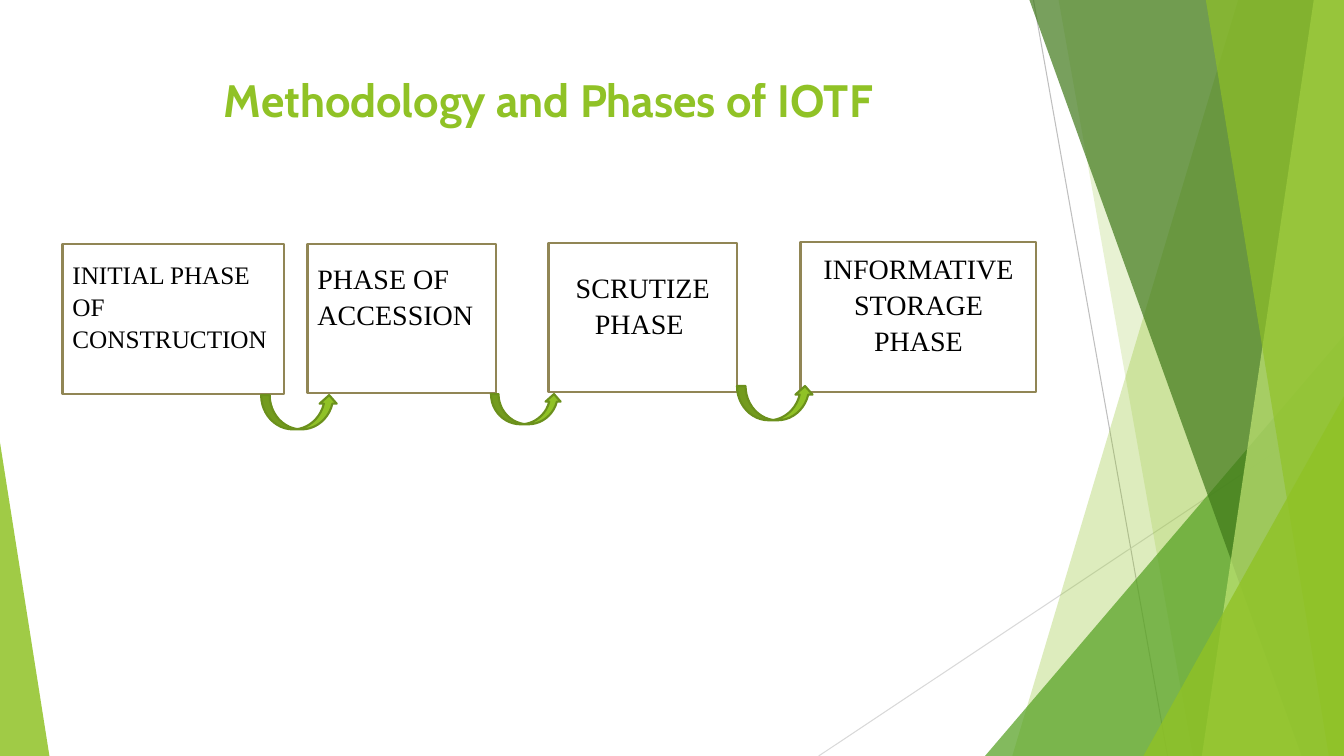
from lxml.etree import SubElement
from pptx import Presentation
from pptx.dml.color import RGBColor
from pptx.enum.shapes import MSO_CONNECTOR, MSO_SHAPE
from pptx.enum.text import MSO_ANCHOR, MSO_AUTO_SIZE, PP_ALIGN
from pptx.oxml.ns import qn
from pptx.util import Inches, Pt

WIDTH, HEIGHT = 13.33, 7.5
LIME = RGBColor(0x90, 0xC2, 0x26)
PALE_LIME = RGBColor(0xC0, 0xE4, 0x74)
GREEN = RGBColor(0x54, 0xA0, 0x21)
DARK_GREEN = RGBColor(0x3F, 0x78, 0x19)
ARROW_EDGE = RGBColor(0x6B, 0x90, 0x1C)
BOX_EDGE = RGBColor(0x91, 0x86, 0x55)
GREY = RGBColor(0xBF, 0xBF, 0xBF)
LIGHT_GREY = RGBColor(0xD9, 0xD9, 0xD9)
WHITE = RGBColor(0xFF, 0xFF, 0xFF)
BLACK = RGBColor(0, 0, 0)

TITLE = "Methodology and Phases of IOTF"

# Start x, start y, end x, end y, colour
HAIRLINES = [
    (10.25, 0, 11.58, HEIGHT, GREY),
    (WIDTH, 4.03, 8.12, HEIGHT, LIGHT_GREY),
]
# Back to front. Band: top-left x, bottom-left x; it runs to the right edge.
# Triangle: left, top, width, apex position; it stands on the bottom edge.
DECORATION = [
    ("band", (12.28, 10.04), LIME, 30),
    ("band", (10.5, 11.83), LIME, 20),
    ("triangle", (9.77, 3.33, 3.56, 1), GREEN, 72),
    ("band", (10.21, 12.91), DARK_GREEN, 70),
    ("band", (13.03, 11.92), PALE_LIME, 70),
    ("band", (11.96, 13.18), LIME, 65),
    ("triangle", (11.34, 3.93, 1.99, 1), LIME, 80),
    ("triangle", (0, 4.39, 0.49, 0), LIME, 85),
]
# Text, box (left, top, width, height), size, alignment, bottom inset
PHASES = [
    ("INITIAL PHASE OF CONSTRUCTION", (0.62, 2.42, 2.2, 1.49), 18, PP_ALIGN.LEFT, 0.32),
    ("PHASE OF ACCESSION", (3.05, 2.42, 1.87, 1.48), 20, PP_ALIGN.LEFT, 0.51),
    ("SCRUTIZE PHASE ", (5.44, 2.41, 1.87, 1.48), 20, PP_ALIGN.CENTER, 0.32),
    ("INFORMATIVE STORAGE PHASE", (7.94, 2.4, 2.34, 1.49), 20, PP_ALIGN.CENTER, 0.32),
]
ARROWS = [
    (2.59, 3.92, 0.76, 0.34),
    (4.87, 3.91, 0.7, 0.3),
    (7.31, 3.83, 0.76, 0.34),
]


def paint(shape, fill, edge=None):
    shape.shadow.inherit = False
    shape.fill.solid()
    shape.fill.fore_color.rgb = fill
    if edge is None:
        shape.line.fill.background()
    else:
        shape.line.color.rgb = edge
        shape.line.width = Pt(1.5)


def set_opacity(shape, percent):
    color = shape.element.spPr.find(qn("a:solidFill")).find(qn("a:srgbClr"))
    SubElement(color, qn("a:alpha")).set("val", str(percent * 1000))


def add_preset(slide, preset, box):
    return slide.shapes.add_shape(preset, *map(Inches, box))


def add_hairline(slide, start_x, start_y, end_x, end_y, color):
    ends = map(Inches, (start_x, start_y, end_x, end_y))
    line = slide.shapes.add_connector(MSO_CONNECTOR.STRAIGHT, *ends)
    line.line.color.rgb = color
    line.line.width = Pt(0.75)
    SubElement(line.element.spPr, qn("a:effectLst"))


def add_band(slide, top_x, bottom_x):
    corners = [(WIDTH, 0), (WIDTH, HEIGHT), (bottom_x, HEIGHT)]
    builder = slide.shapes.build_freeform(Inches(top_x), 0)
    builder.add_line_segments([(Inches(x), Inches(y)) for x, y in corners], close=True)
    return builder.convert_to_shape()


def add_triangle(slide, left, top, width, apex):
    box = (left, top, width, HEIGHT - top)
    triangle = add_preset(slide, MSO_SHAPE.ISOSCELES_TRIANGLE, box)
    triangle.adjustments[0] = apex
    return triangle


def write(paragraph, text, font_name, size, color, bold=False):
    run = paragraph.add_run()
    run.text = text
    run.font.name = font_name
    run.font.size = Pt(size)
    run.font.color.rgb = color
    run.font.bold = bold


def add_title(slide):
    title = slide.shapes.title
    title.left, title.top, title.width, title.height = map(Inches, (0.74, 0.67, 9.4, 0.87))
    frame = title.text_frame
    frame.word_wrap = True
    frame.auto_size = MSO_AUTO_SIZE.NONE
    frame.vertical_anchor = MSO_ANCHOR.TOP
    paragraph = frame.paragraphs[0]
    paragraph.alignment = PP_ALIGN.CENTER
    write(paragraph, TITLE, "Cabin", 32.4, LIME, bold=True)


def add_phase(slide, text, box, size, alignment, bottom_inset):
    shape = add_preset(slide, MSO_SHAPE.RECTANGLE, box)
    paint(shape, WHITE, BOX_EDGE)
    frame = shape.text_frame
    frame.word_wrap = True
    frame.vertical_anchor = MSO_ANCHOR.MIDDLE
    frame.margin_bottom = Inches(bottom_inset)
    paragraph = frame.paragraphs[0]
    paragraph.alignment = alignment
    paragraph.line_spacing = 1.07
    write(paragraph, text, "Times New Roman", size, BLACK)


def main():
    presentation = Presentation()
    presentation.slide_width = Inches(WIDTH)
    presentation.slide_height = Inches(HEIGHT)
    slide = presentation.slides.add_slide(presentation.slide_layouts[5])

    for hairline in HAIRLINES:
        add_hairline(slide, *hairline)
    for kind, geometry, color, opacity in DECORATION:
        add_piece = add_band if kind == "band" else add_triangle
        piece = add_piece(slide, *geometry)
        paint(piece, color)
        set_opacity(piece, opacity)

    add_title(slide)
    for phase in PHASES:
        add_phase(slide, *phase)
    for box in ARROWS:
        paint(add_preset(slide, MSO_SHAPE.CURVED_UP_ARROW, box), LIME, ARROW_EDGE)

    presentation.save("out.pptx")


if __name__ == "__main__":
    main()
